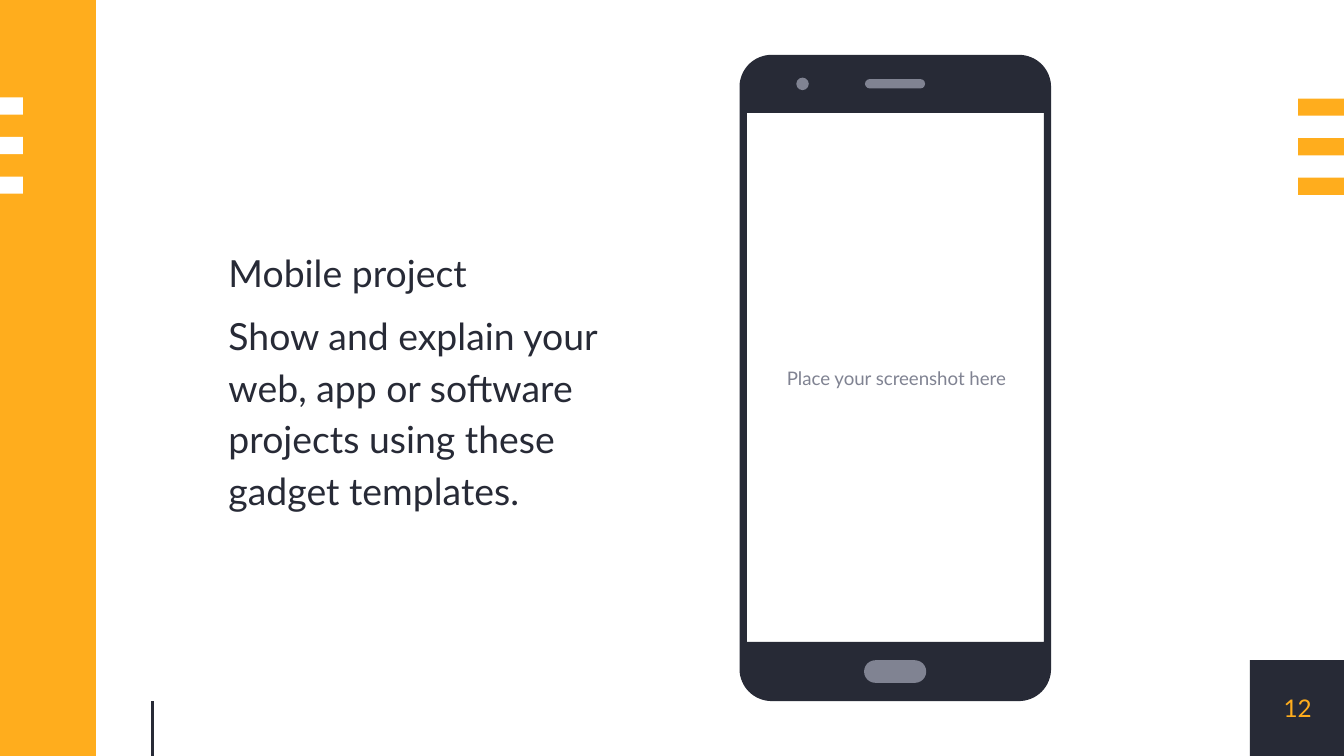
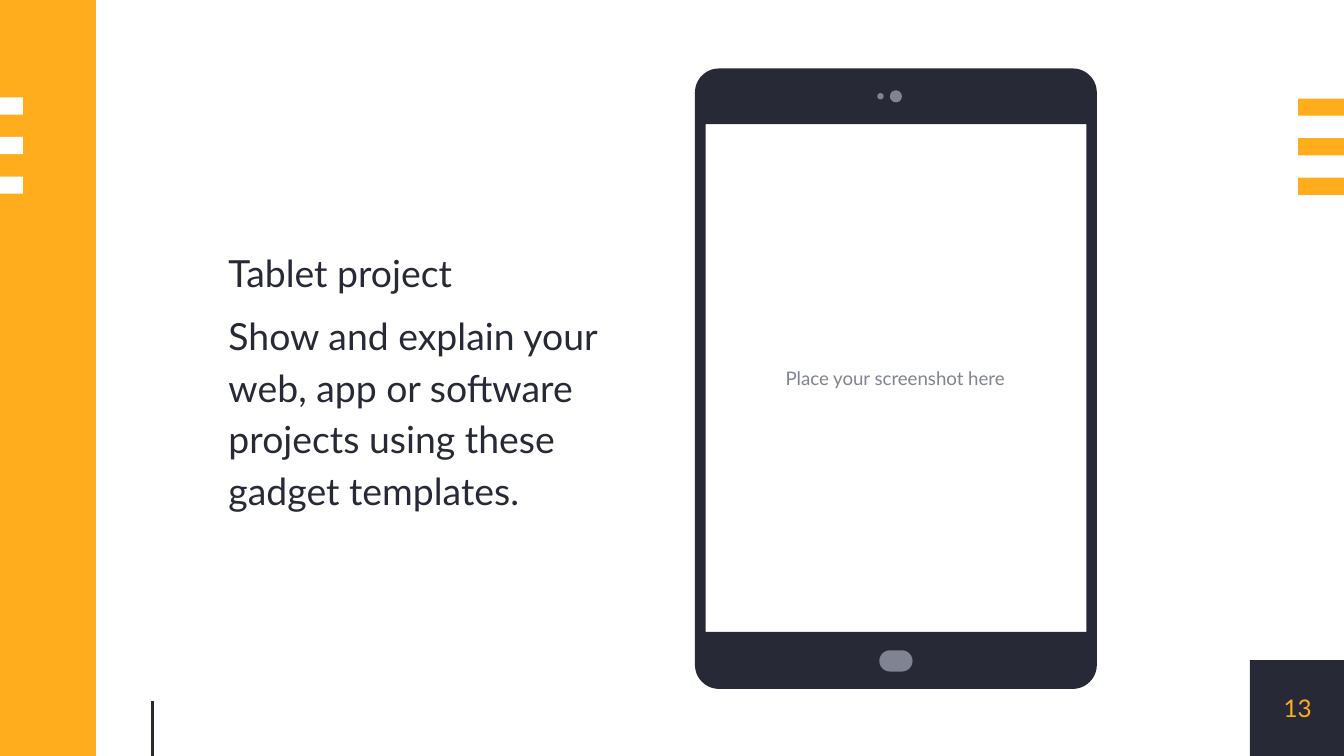
from math import cos, pi, sin

from lxml.etree import SubElement
from pptx import Presentation
from pptx.dml.color import RGBColor
from pptx.enum.shapes import MSO_CONNECTOR, MSO_SHAPE
from pptx.enum.text import MSO_ANCHOR, MSO_AUTO_SIZE, PP_ALIGN
from pptx.oxml.ns import qn
from pptx.util import Pt

COLORS = {"ink": "272A36", "accent": "FFAD1D", "paper": "FFFFFF", "muted": "808392"}
FONT = "Lato"
WIDTH, HEIGHT = 720, 405
CORNER = (669.6, 353.6, 51, 51.4)
BODY = (122.4, 29.5, 224, 346.3)
DESCRIPTION = ("Show and explain your web, app or software projects "
               "using these gadget templates.")

# Each detail is a preset shape and its left, top, width and height.
PHONE = {
    "outline": (396.2, 29.4, 166.9, 346.2), "radius": 17.2,
    "screen": (400.2, 60.5, 159, 283.4),
    "label": (401, 61.9, 158.4, 281.5),
    "details": [
        (MSO_SHAPE.ROUNDED_RECTANGLE, (462.9, 353.7, 33.3, 12.1)),
        (MSO_SHAPE.OVAL, (426.6, 41.6, 6.7, 6.7)),
        (MSO_SHAPE.ROUNDED_RECTANGLE, (463.4, 42.4, 32.2, 5)),
    ],
}
TABLET = {
    "outline": (372.3, 36.7, 215.3, 332.4), "radius": 12.9,
    "screen": (378, 66.6, 204, 272),
    "label": (377.3, 67, 204.5, 270.7),
    "details": [
        (MSO_SHAPE.ROUNDED_RECTANGLE, (471.1, 348.4, 17.8, 11.4)),
        (MSO_SHAPE.OVAL, (470, 49.9, 3.4, 3.4)),
        (MSO_SHAPE.OVAL, (476.7, 48.4, 6.5, 6.5)),
    ],
}


def color(name):
    return RGBColor.from_string(COLORS[name])


def points(*lengths):
    return [Pt(length) for length in lengths]


def paint(shape, fill):
    shape.shadow.inherit = False
    shape.fill.solid()
    shape.fill.fore_color.rgb = color(fill)
    shape.line.fill.background()
    return shape


def add_block(page, kind, area, fill):
    shape = paint(page.shapes.add_shape(kind, *points(*area)), fill)
    if kind == MSO_SHAPE.ROUNDED_RECTANGLE:
        shape.adjustments[0] = 0.5
    return shape


def add_rule(page, x, top, bottom):
    rule = page.shapes.add_connector(MSO_CONNECTOR.STRAIGHT, *points(x, top, x, bottom))
    rule.line.color.rgb = color("ink")
    rule.line.width = Pt(1.5)
    SubElement(rule.element.spPr, qn("a:effectLst"))
    return rule


def set_frame(frame, inset):
    frame.word_wrap = True
    frame.auto_size = MSO_AUTO_SIZE.NONE
    frame.vertical_anchor = MSO_ANCHOR.MIDDLE
    frame.margin_left = frame.margin_right = Pt(inset)
    frame.margin_top = frame.margin_bottom = Pt(inset)


def set_font(para, size, name):
    para.font.name = FONT
    para.font.size = Pt(size)
    para.font.color.rgb = color(name)


def add_label(page, area, text, size, name, inset=0):
    frame = page.shapes.add_textbox(*points(*area)).text_frame
    set_frame(frame, inset)
    para = frame.paragraphs[0]
    para.text = text
    para.alignment = PP_ALIGN.CENTER
    set_font(para, size, name)


def decorate_layout(layout, page):
    """Draw the shared bands on a page, then move them behind its layout."""
    bands = [
        add_block(page, MSO_SHAPE.RECTANGLE, CORNER, "ink"),
        add_block(page, MSO_SHAPE.RECTANGLE, (0, 0, 51.4, HEIGHT), "accent"),
    ]
    for left, top, width, fill in [(0, 52.2, 12.3, "paper"), (695.4, 52.8, 24.6, "accent")]:
        for row in range(3):
            area = (left, top + row * 21.2, width, 9.2)
            bands.append(add_block(page, MSO_SHAPE.RECTANGLE, area, fill))
    bands.append(add_rule(page, 81.6, 375.6, HEIGHT))
    for number, band in enumerate(bands, start=100):
        band.element.xpath("./*/p:cNvPr")[0].set("id", str(number))
        layout.shapes.element.append(band.element)


def fill_body(page, heading):
    page.shapes.title.element.getparent().remove(page.shapes.title.element)
    body = page.placeholders[1]
    body.left, body.top, body.width, body.height = points(*BODY)
    frame = body.text_frame
    frame.text = f"{heading}\n{DESCRIPTION}"
    set_frame(frame, 0)
    for para in frame.paragraphs:
        para.line_spacing = 1.15
        para.space_before = Pt(6)
        set_font(para, 20, "ink")
        properties = para._p.get_or_add_pPr()
        properties.set("marL", "0")
        properties.set("indent", "0")
        properties.insert_element_before(
            properties.makeelement(qn("a:buNone")), "a:tabLst", "a:defRPr", "a:extLst")


def rounded_outline(area, radius, steps=16):
    """Return the clockwise vertices of a rectangle with round corners."""
    left, top, width, height = area
    right, bottom = left + width - radius, top + height - radius
    left, top = left + radius, top + radius
    vertices = []
    centers = [(left, top), (right, top), (right, bottom), (left, bottom)]
    for quarter, (x, y) in enumerate(centers, start=2):
        for step in range(steps + 1):
            angle = (quarter + step / steps) * pi / 2
            vertices.append(points(x + radius * cos(angle), y + radius * sin(angle)))
    return vertices


def add_device(page, device):
    outline = rounded_outline(device["outline"], device["radius"])
    left, top, width, height = points(*device["screen"])
    right, bottom = left + width, top + height
    builder = page.shapes.build_freeform(*outline[0])
    builder.add_line_segments(outline[1:], close=True)
    builder.move_to(left, top)
    builder.add_line_segments([(left, bottom), (right, bottom), (right, top)], close=True)
    paint(builder.convert_to_shape(), "ink")
    for kind, area in device["details"]:
        add_block(page, kind, area, "muted")
    add_label(page, device["label"], "Place your screenshot here", 10, "muted", inset=7.2)


def main():
    deck = Presentation()
    deck.slide_width, deck.slide_height = points(WIDTH, HEIGHT)
    layout = deck.slide_layouts[1]
    projects = [("Mobile project", PHONE), ("Tablet project", TABLET)]
    for number, (heading, device) in enumerate(projects, start=12):
        page = deck.slides.add_slide(layout)
        if number == 12:
            decorate_layout(layout, page)
        fill_body(page, heading)
        add_device(page, device)
        add_label(page, CORNER, str(number), 13, "accent")
    deck.save("out.pptx")


if __name__ == "__main__":
    main()
